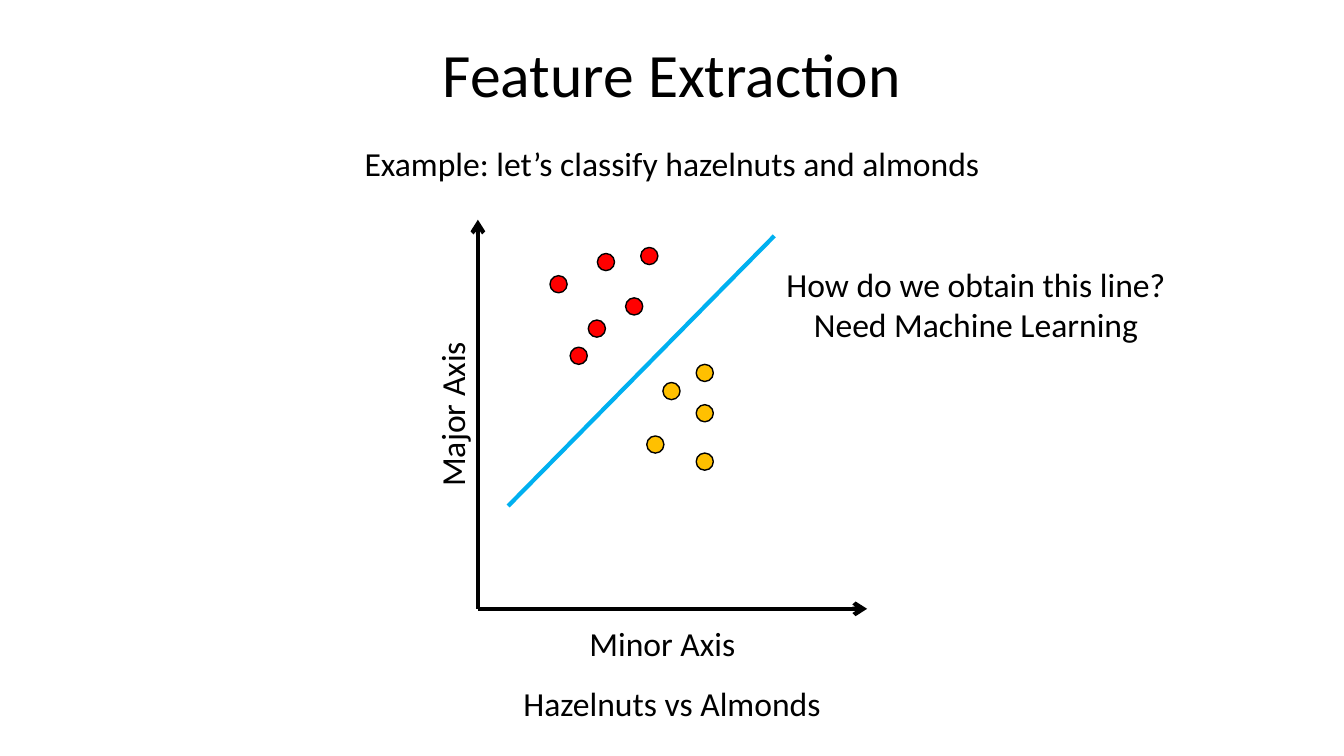
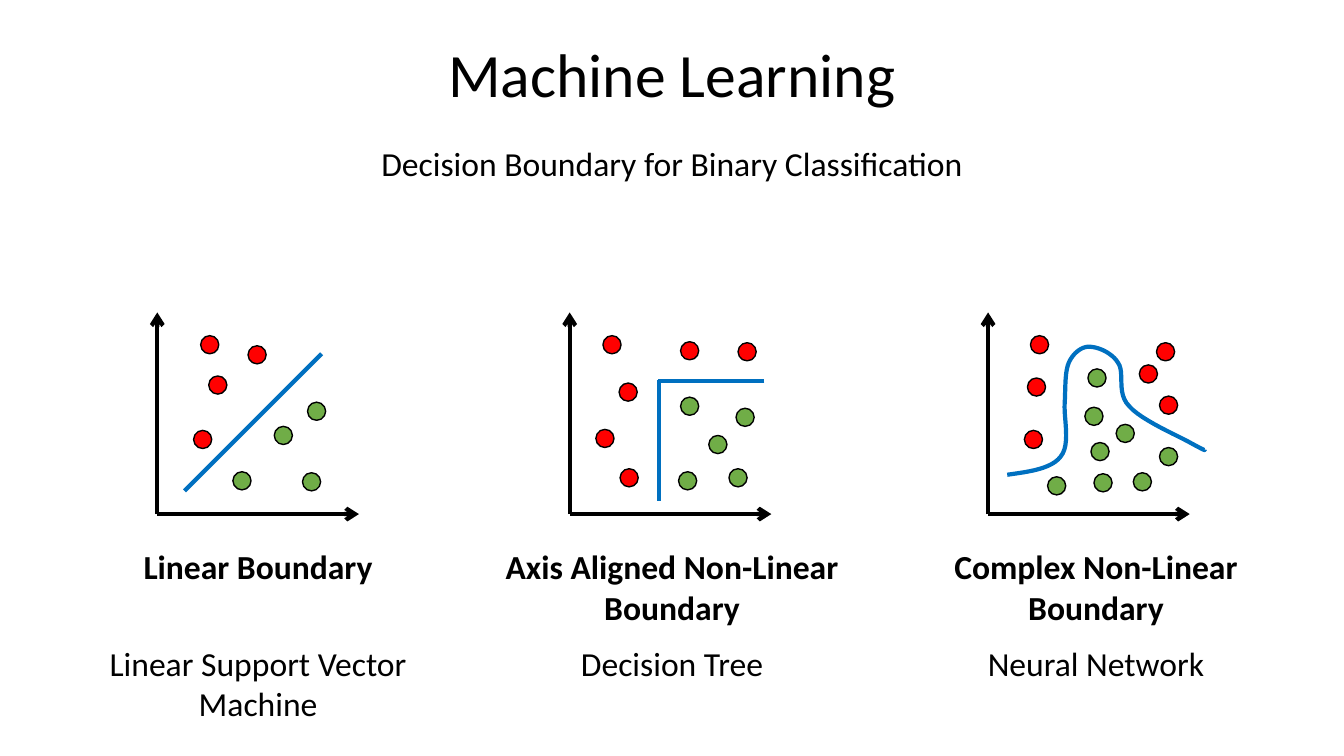
"""Build two slides on feature extraction and decision boundaries."""
from lxml import etree
from pptx import Presentation
from pptx import util as u
from pptx.dml.color import RGBColor
from pptx.enum import shapes as kinds, text
from pptx.oxml.ns import qn

WIDTH, HEIGHT = 13.33, 7.5
CENTRE = WIDTH / 2
FONT = "Calibri"
LINE_HEIGHT = 0.4
COLOURS = {"ink": "000000", "red": "FF0000", "amber": "FFC000",
           "green": "70AD47", "sky": "00B0F0", "blue": "0070C0"}

# Points are (right, up) from the origin of the axes, in inches.
NUTS = {
    "origin": (4.74, 6.04), "axis": 3.86, "dot": 0.17,
    "dots": {
        "red": [(0.8, 3.22), (1.18, 2.78), (1.27, 3.44), (1, 2.51), (1.55, 3), (1.7, 3.5)],
        "amber": [(1.92, 2.16), (1.76, 1.63), (2.25, 1.46), (2.25, 1.94), (2.25, 2.34)],
    },
    "boundary": "sky", "lines": [((0.3, 1.02), (2.94, 3.7))],
}
NUT_LABELS = [
    (["Hazelnuts vs Almonds"], CENTRE, 6.73, 3.25, 0),
    (["Minor Axis"], 6.57, 6.13, 1.66, 0),
    (["Major Axis"], 4.48, 3.86, 1.65, 270),
    (["How do we obtain this line?", "Need Machine Learning"], 9.68, 2.57, 3.99, 0),
]

BASELINE = 5.1
COLUMN_WIDTH = 3.85
CAPTION_TOP, METHOD_TOP = 5.37, 6.33
CLASSIFIERS = [
    {
        "caption": "Linear Boundary", "method": "Linear Support Vector Machine",
        "centre": 2.56, "origin": (1.56, BASELINE),
        "dots": {
            "red": [(0.52, 1.68), (0.6, 1.28), (0.99, 1.58), (0.45, 0.74)],
            "green": [(1.25, 0.78), (0.84, 0.33), (1.53, 0.32), (1.58, 1.02)],
        },
        "lines": [((0.27, 0.23), (1.63, 1.59))],
    },
    {
        "caption": "Axis Aligned Non-Linear Boundary", "method": "Decision Tree",
        "centre": CENTRE, "origin": (5.65, BASELINE),
        "dots": {
            "red": [(0.42, 1.68), (0.58, 1.21), (1.76, 1.61), (0.35, 0.75),
                    (1.19, 1.62), (0.59, 0.36)],
            "green": [(1.47, 0.69), (1.17, 0.33), (1.67, 0.36), (1.19, 1.07), (1.74, 0.96)],
        },
        "lines": [((0.89, 0.13), (0.89, 1.33)), ((1.93, 1.32), (0.88, 1.32))],
    },
    {
        "caption": "Complex Non-Linear Boundary", "method": "Neural Network",
        "centre": 10.87, "origin": (9.8, BASELINE),
        "dots": {
            "red": [(0.51, 1.68), (0.48, 1.26), (1.76, 1.61), (0.45, 0.74),
                    (1.59, 1.39), (1.79, 1.08)],
            "green": [(1.11, 0.62), (1.14, 0.31), (1.53, 0.32), (1.05, 0.97),
                      (1.36, 0.8), (1.08, 1.35), (1.79, 0.57), (0.68, 0.28)],
        },
        "curve": [(0.19, 0.39),
                  (0.41, 0.42), (0.63, 0.45), (0.72, 0.57),
                  (0.82, 0.69), (0.75, 0.95), (0.76, 1.1),
                  (0.77, 1.26), (0.76, 1.4), (0.8, 1.5),
                  (0.84, 1.59), (0.92, 1.66), (1, 1.66),
                  (1.09, 1.66), (1.23, 1.6), (1.29, 1.5),
                  (1.36, 1.4), (1.27, 1.2), (1.4, 1.07),
                  (1.52, 0.93), (1.9, 0.77), (2.02, 0.7),
                  (2.15, 0.63), (2.15, 0.63), (2.15, 0.64)],
    },
]


def colour(name):
    return RGBColor.from_string(COLOURS[name])


def inches(*lengths):
    return [u.Inches(length) for length in lengths]


def add_text(slide, lines, centre, top, width, height=None, size=24, bold=False,
             wrap=False, rotation=0):
    height = height or LINE_HEIGHT * len(lines) + 0.1
    box = slide.shapes.add_textbox(*inches(centre - width / 2, top, width, height))
    box.rotation = rotation
    frame = box.text_frame
    frame.word_wrap = wrap
    frame.text = "\n".join(lines)
    for paragraph in frame.paragraphs:
        paragraph.alignment = text.PP_ALIGN.CENTER
        font = paragraph.font
        font.name, font.size, font.bold = FONT, u.Pt(size), bold
        font.color.rgb = colour("ink")
    return frame


def add_heading(slide, title, subtitle):
    frame = add_text(slide, [title], CENTRE, 0.04, 11.5, 1.45, size=44, wrap=True)
    frame.vertical_anchor = text.MSO_ANCHOR.MIDDLE
    frame.paragraphs[0].line_spacing = 0.9
    add_text(slide, [subtitle], CENTRE, 1.37, 6.36)


def add_line(canvas, start, end, name, arrow=False):
    line = canvas.add_connector(kinds.MSO_CONNECTOR.STRAIGHT, *inches(*start, *end))
    line.line.color.rgb = colour(name)
    line.line.width = u.Pt(3)
    if arrow:
        etree.SubElement(line.line._get_or_add_ln(), qn("a:tailEnd"), type="arrow")
    etree.SubElement(line._element.spPr, qn("a:effectLst"))


def add_dot(canvas, centre, size, name):
    left, top = (value - size / 2 for value in centre)
    dot = canvas.add_shape(kinds.MSO_SHAPE.OVAL, *inches(left, top, size, size))
    dot.shadow.inherit = False
    dot.fill.solid()
    dot.fill.fore_color.rgb = colour(name)
    dot.line.color.rgb = colour("ink")
    dot.line.width = u.Pt(1)


def sample_curve(knots, steps=12):
    points = [knots[0]]
    for first in range(0, len(knots) - 1, 3):
        controls = knots[first:first + 4]
        for step in range(1, steps + 1):
            t = step / steps
            weights = ((1 - t) ** 3, 3 * t * (1 - t) ** 2, 3 * t * t * (1 - t), t ** 3)
            points.append(tuple(sum(w * value for w, value in zip(weights, axis))
                                for axis in zip(*controls)))
    return points


def add_curve(canvas, points, name):
    start, *others = [inches(*point) for point in points]
    builder = canvas.build_freeform(*start)
    builder.add_line_segments(others, close=False)
    curve = builder.convert_to_shape()
    curve.shadow.inherit = False
    curve.fill.background()
    curve.line.color.rgb = colour(name)
    curve.line.width = u.Pt(3)


def add_plot(canvas, plot):
    def place(point):
        return plot["origin"][0] + point[0], plot["origin"][1] - point[1]

    axis, boundary = plot.get("axis", 2), plot.get("boundary", "blue")
    for end in ((0, axis), (axis, 0)):
        add_line(canvas, place((0, 0)), place(end), "ink", arrow=True)
    for name, centres in plot["dots"].items():
        for centre in centres:
            add_dot(canvas, place(centre), plot.get("dot", 0.18), name)
    for start, end in plot.get("lines", []):
        add_line(canvas, place(start), place(end), boundary)
    if "curve" in plot:
        add_curve(canvas, [place(point) for point in sample_curve(plot["curve"])], boundary)


def build_features(slide):
    add_heading(slide, "Feature Extraction", "Example: let’s classify hazelnuts and almonds")
    add_plot(slide.shapes, NUTS)
    for lines, centre, top, width, rotation in NUT_LABELS:
        add_text(slide, lines, centre, top, width, rotation=rotation)


def build_boundaries(slide):
    add_heading(slide, "Machine Learning", "Decision Boundary for Binary Classification")
    for plot in CLASSIFIERS:
        add_plot(slide.shapes.add_group_shape().shapes, plot)
        for key, top in (("caption", CAPTION_TOP), ("method", METHOD_TOP)):
            add_text(slide, [plot[key]], plot["centre"], top, COLUMN_WIDTH, 0.91,
                     bold=key == "caption", wrap=True)


def main():
    presentation = Presentation()
    presentation.slide_width, presentation.slide_height = inches(WIDTH, HEIGHT)
    for build in (build_features, build_boundaries):
        build(presentation.slides.add_slide(presentation.slide_layouts[6]))
    presentation.save("out.pptx")


if __name__ == "__main__":
    main()
